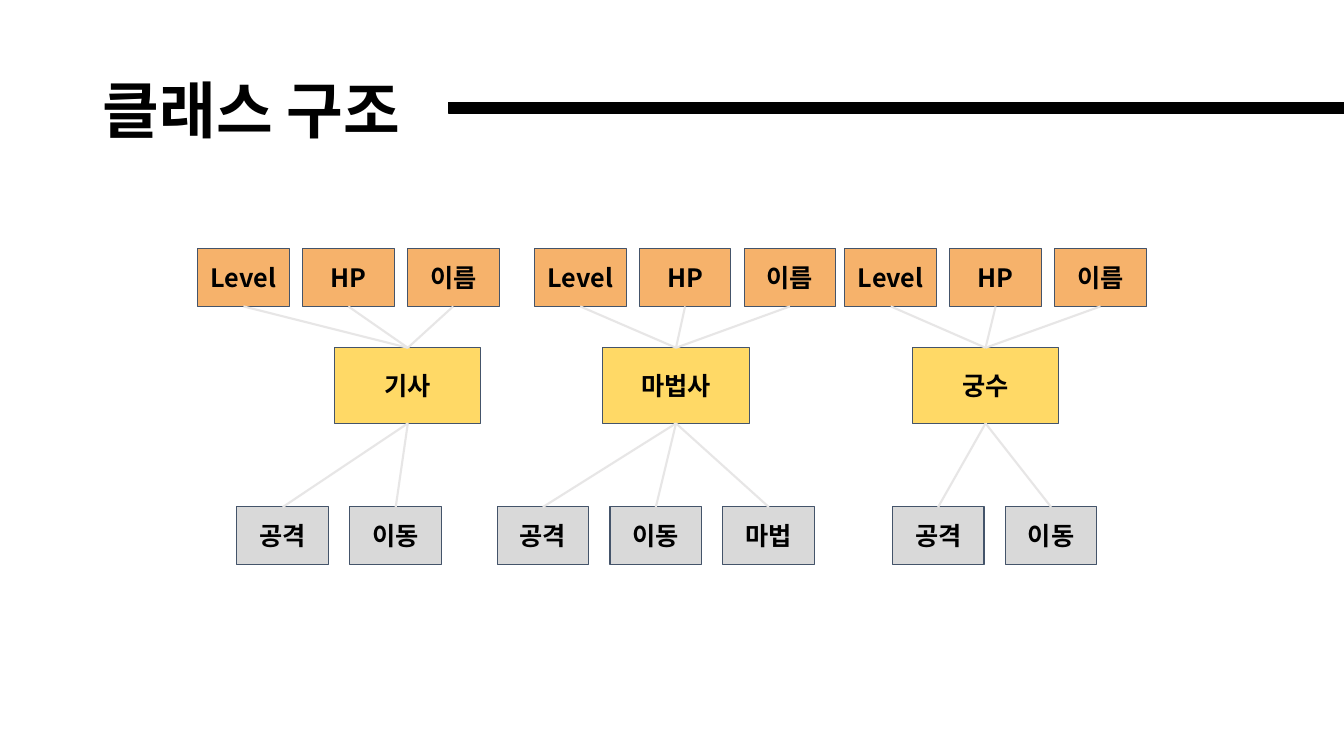
from lxml import etree
from pptx import Presentation
from pptx.dml.color import RGBColor
from pptx.enum import shapes, text
from pptx.oxml import ns
from pptx.util import Inches, Pt

FONT = "Noto Sans CJK KR"
BLACK = RGBColor(0x00, 0x00, 0x00)
ORANGE = RGBColor(0xF6, 0xB2, 0x6B)
YELLOW = RGBColor(0xFF, 0xD9, 0x66)
GRAY = RGBColor(0xD9, 0xD9, 0xD9)
OUTLINE = RGBColor(0x44, 0x54, 0x6A)
LINK = RGBColor(0xE7, 0xE6, 0xE6)

ATTRIBUTES = ["Level", "HP", "이름"]
# name, left; left of the first attribute; left of the first method, methods
CLASSES = [
    ("기사", 3.32, 1.96, 2.35, ["공격", "이동"]),
    ("마법사", 5.98, 5.3, 4.93, ["공격", "이동", "마법"]),
    ("궁수", 9.05, 8.38, 8.85, ["공격", "이동"]),
]
ATTRIBUTE_STEP, METHOD_STEP = 1.04, 1.12
TOP_SITE, BOTTOM_SITE = 0, 2

prs = Presentation()
prs.slide_width, prs.slide_height = Inches(13.33), Inches(7.5)
slide = prs.slides.add_slide(prs.slide_layouts[6])


def write(shape, words, size):
    """Put bold black text, vertically centred, into a shape."""
    frame = shape.text_frame
    frame.word_wrap = True
    frame.vertical_anchor = text.MSO_ANCHOR.MIDDLE
    paragraph = frame.paragraphs[0]
    run = paragraph.add_run()
    run.text = words
    for key, value in {"name": FONT, "size": Pt(size), "bold": True}.items():
        setattr(run.font, key, value)
    run.font.color.rgb = BLACK
    east_asian = etree.SubElement(run.font._element, ns.qn("a:ea"))
    east_asian.set("typeface", FONT)
    return paragraph


def add_box(left, top, width, height, fill, outline=OUTLINE, weight=0.75, words=""):
    box = slide.shapes.add_shape(
        shapes.MSO_SHAPE.RECTANGLE,
        Inches(left), Inches(top), Inches(width), Inches(height))
    box.shadow.inherit = False
    box.fill.solid()
    box.fill.fore_color.rgb = fill
    box.line.color.rgb = outline
    box.line.width = Pt(weight)
    if words:
        for side in ("left", "right", "top", "bottom"):
            setattr(box.text_frame, f"margin_{side}", Inches(0.1))
        write(box, words, 18).alignment = text.PP_ALIGN.CENTER
    return box


title = slide.shapes.add_textbox(Inches(0.92), Inches(0.4), Inches(11.5), Inches(1.45))
write(title, "클래스 구조", 44).line_spacing = 0.9
add_box(4.45, 1.02, 8.88, 0.1, BLACK, BLACK, 1)

links = []
for name, left, attribute_left, method_left, methods in CLASSES:
    class_box = add_box(left, 3.45, 1.45, 0.75, YELLOW, words=name)
    for i, attribute in enumerate(ATTRIBUTES):
        box = add_box(attribute_left + i * ATTRIBUTE_STEP, 2.47, 0.91, 0.57,
                      ORANGE, words=attribute)
        links.append((box, BOTTOM_SITE, class_box, TOP_SITE))
    for i, method in enumerate(methods):
        box = add_box(method_left + i * METHOD_STEP, 5.03, 0.91, 0.57,
                      GRAY, words=method)
        links.append((box, TOP_SITE, class_box, BOTTOM_SITE))

for member, member_site, class_box, class_site in links:
    link = slide.shapes.add_connector(shapes.MSO_CONNECTOR.STRAIGHT, 0, 0, 0, 0)
    link.begin_connect(member, member_site)
    link.end_connect(class_box, class_site)
    link.line.color.rgb = LINK
    link.line.width = Pt(1.5)
    etree.SubElement(link._element.spPr, ns.qn("a:effectLst"))

prs.save("out.pptx")
